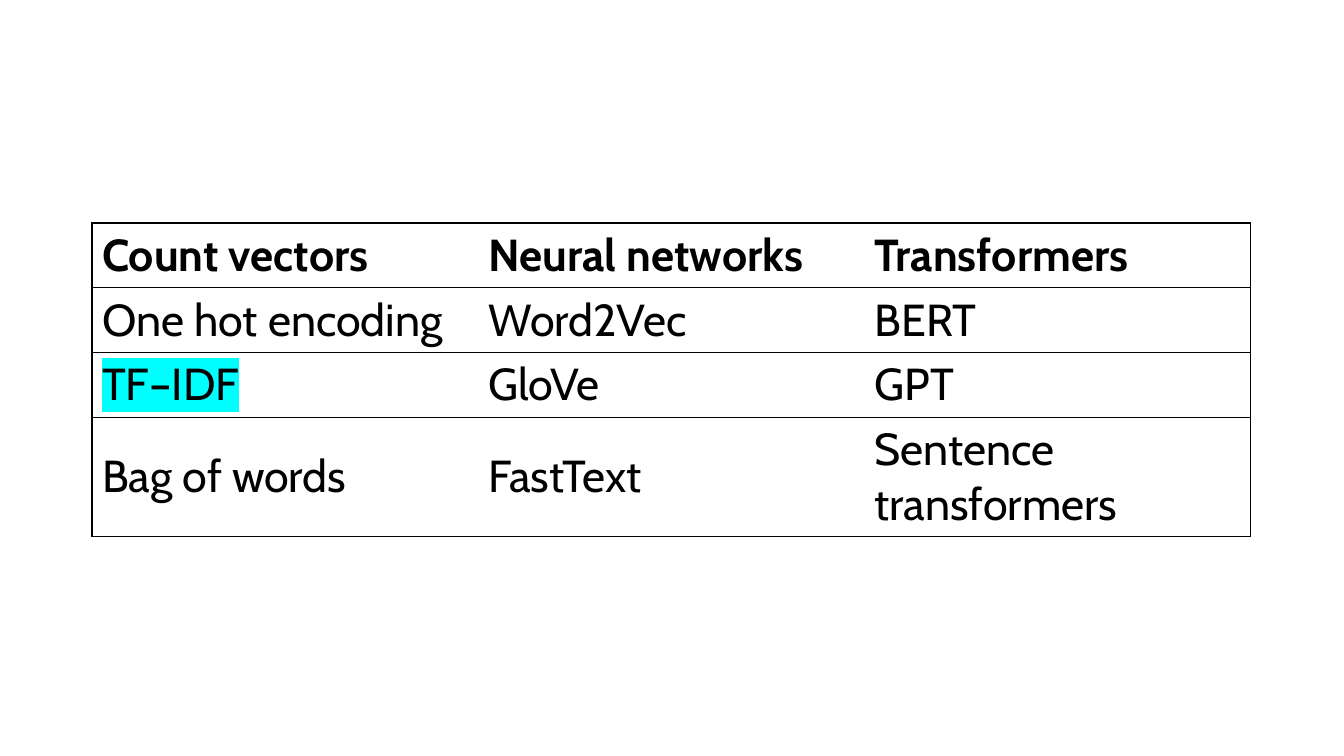
from pptx import Presentation
from pptx.dml.color import RGBColor
from pptx.enum.text import MSO_VERTICAL_ANCHOR as Anchor
from pptx.oxml import parse_xml
from pptx.oxml.ns import nsdecls
from pptx.util import Emu, Pt

EMU_PER_PX = 914400 / 100.8
COLORS = {"ink": "000000", "paper": "FFFFFF", "marker": "00FFFF"}
METHODS = [
    ["Count vectors", "Neural networks", "Transformers"],
    ["One hot encoding", "Word2Vec", "BERT"],
    ["TF–IDF", "GloVe", "GPT"],
    ["Bag of words", "FastText", "Sentence transformers"],
]
HIGHLIGHTED = "TF–IDF"


def px(length):
    return Emu(round(length * EMU_PER_PX))


class SlideBuilder:
    """Hold the text style and the current page, and draw elements on it."""

    def __init__(self, page, font, size):
        self.page = page
        self.font = font
        self.size = size

    def span(self, para, text, bold=False, marker=None):
        span = para.add_run()
        span.text = text
        span.font.size = Pt(self.size)
        span.font.bold = bold
        span.font.color.rgb = RGBColor.from_string(COLORS["ink"])
        if marker:
            span._r.get_or_add_rPr().append(parse_xml(
                f'<a:highlight {nsdecls("a")}>'
                f'<a:srgbClr val="{COLORS[marker]}"/></a:highlight>'))
        span.font.name = self.font

    def borders(self, cell, visible):
        properties = cell._tc.get_or_add_tcPr()
        for index, side in enumerate("LRTB"):
            paint = (f'<a:solidFill><a:srgbClr val="{COLORS["ink"]}"/></a:solidFill>'
                     if side in visible else "<a:noFill/>")
            properties.insert(index, parse_xml(
                f'<a:ln{side} {nsdecls("a")} w="{Pt(1)}">{paint}</a:ln{side}>'))

    def table(self, left, top, width, heights, rows):
        columns = len(rows[0])
        table = self.page.shapes.add_table(
            len(rows), columns, px(left), px(top), px(width), px(sum(heights))).table
        table.first_row = table.horz_banding = False
        for column in table.columns:
            column.width = px(width / columns)
        for row_index, (texts, height) in enumerate(zip(rows, heights)):
            table.rows[row_index].height = px(height)
            for column_index, text in enumerate(texts):
                cell = table.cell(row_index, column_index)
                cell.vertical_anchor = Anchor.MIDDLE
                cell.fill.solid()
                cell.fill.fore_color.rgb = RGBColor.from_string(COLORS["paper"])
                outer = {0: "L", columns - 1: "R"}.get(column_index, "")
                self.borders(cell, "TB" + outer)
                self.span(cell.text_frame.paragraphs[0], text, bold=row_index == 0,
                          marker="marker" if text == HIGHLIGHTED else None)


def main():
    deck = Presentation()
    deck.slide_width, deck.slide_height = px(1344), px(756)
    page = deck.slides.add_slide(deck.slide_layouts[6])
    builder = SlideBuilder(page, "Cabin", 32)
    builder.table(92, 223, 1159, [64, 64, 64, 119], METHODS)
    deck.save("out.pptx")


if __name__ == "__main__":
    main()
